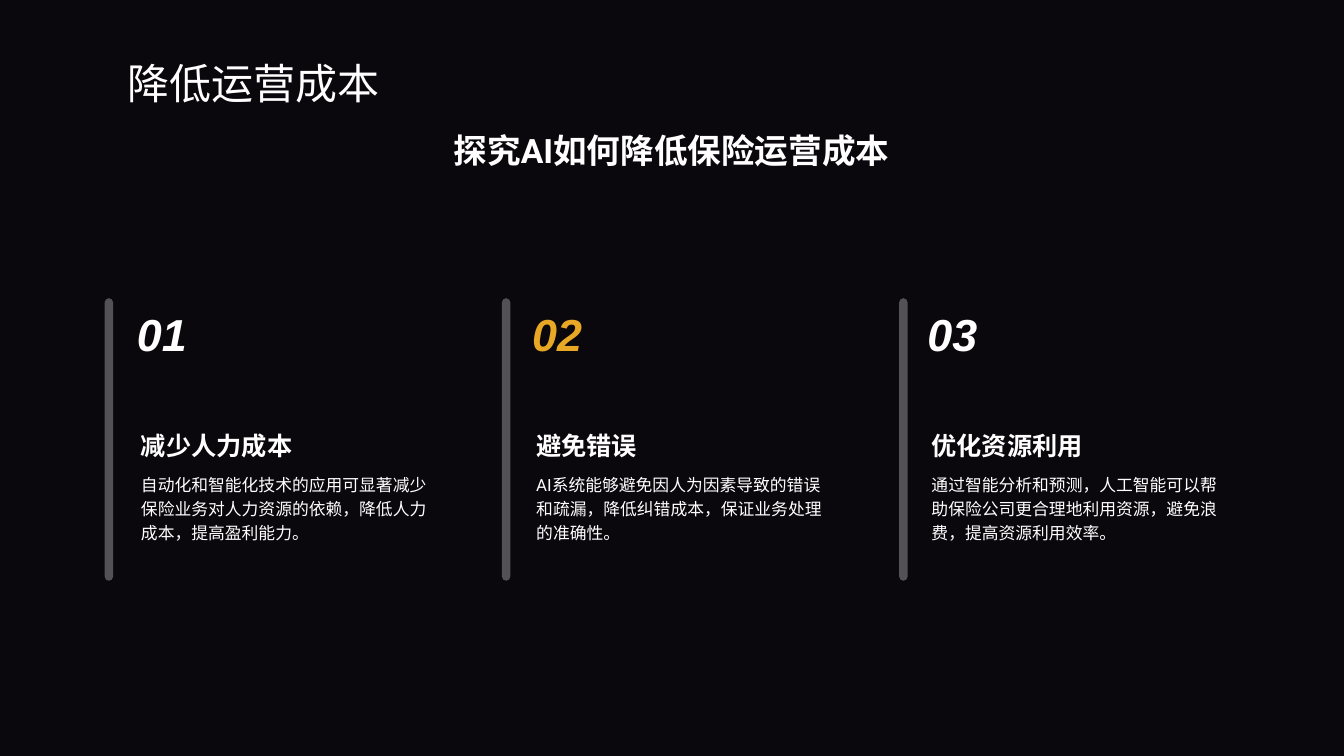
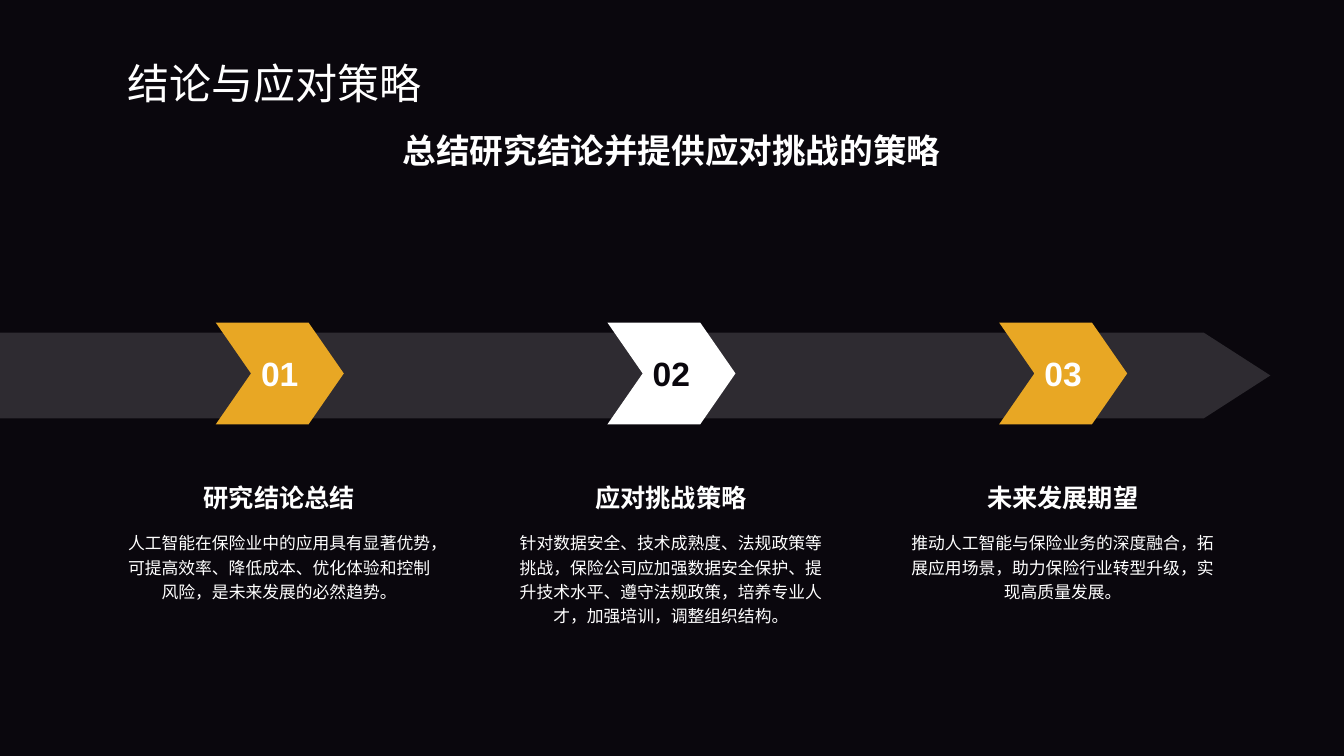
from lxml import etree
from pptx import Presentation
from pptx.dml.color import RGBColor
from pptx.enum.shapes import MSO_CONNECTOR, MSO_SHAPE
from pptx.enum.text import MSO_ANCHOR, MSO_AUTO_SIZE, PP_ALIGN
from pptx.oxml.ns import qn
from pptx.util import Inches, Pt

STRAIGHT = MSO_CONNECTOR.STRAIGHT
ARROW_BAND, CHEVRON = MSO_SHAPE.PENTAGON, MSO_SHAPE.CHEVRON
TOP, MIDDLE, BOTTOM = MSO_ANCHOR.TOP, MSO_ANCHOR.MIDDLE, MSO_ANCHOR.BOTTOM
LEFT, CENTER = PP_ALIGN.LEFT, PP_ALIGN.CENTER
NO_AUTOFIT = MSO_AUTO_SIZE.NONE

# Shared style
NIGHT = RGBColor(0x0A, 0x07, 0x0D)
WHITE = RGBColor(0xFF, 0xFF, 0xFF)
AMBER = RGBColor(0xE8, 0xA7, 0x24)
TITLE_FONT = "Noto Sans CJK JP"
TEXT_FONT = "Roboto"
NUMBER_FONT = "Arial"
TITLE_ONLY = 5

# Content: number colour (slide 1) or chevron and number colours (slide 2)
SAVINGS = [
    (WHITE, "减少人力成本",
     "自动化和智能化技术的应用可显著减少保险业务对人力资源的依赖，降低人力成本，提高盈利能力。"),
    (AMBER, "避免错误",
     "AI系统能够避免因人为因素导致的错误和疏漏，降低纠错成本，保证业务处理的准确性。"),
    (WHITE, "优化资源利用",
     "通过智能分析和预测，人工智能可以帮助保险公司更合理地利用资源，避免浪费，提高资源利用效率。"),
]
STRATEGIES = [
    (AMBER, WHITE, "研究结论总结",
     "人工智能在保险业中的应用具有显著优势，可提高效率、降低成本、优化体验和控制风险，是未来发展的必然趋势。"),
    (WHITE, NIGHT, "应对挑战策略",
     "针对数据安全、技术成熟度、法规政策等挑战，保险公司应加强数据安全保护、提升技术水平、遵守法规政策，"
     "培养专业人才，加强培训，调整组织结构。"),
    (AMBER, WHITE, "未来发展期望",
     "推动人工智能与保险业务的深度融合，拓展应用场景，助力保险行业转型升级，实现高质量发展。"),
]


def evenly(first, last, count=3):
    """Left edges of equally spaced columns."""
    return [first + (last - first) * i / (count - 1) for i in range(count)]


def write(frame, text, size, color=WHITE, font=TEXT_FONT, bold=False,
          italic=False, align=LEFT, anchor=TOP, spacing=1.0, wrap=True):
    frame.word_wrap = wrap
    frame.auto_size = NO_AUTOFIT
    frame.vertical_anchor = anchor
    paragraph = frame.paragraphs[0]
    paragraph.text = text
    paragraph.alignment = align
    paragraph.line_spacing = spacing
    style = paragraph.font
    style.name, style.size, style.bold, style.italic = font, Pt(size), bold, italic
    style.color.rgb = color


def add_text(slide, box, text, size, **style):
    label = slide.shapes.add_textbox(*map(Inches, box))
    write(label.text_frame, text, size, **style)


def set_opacity(shape, percent):
    for color in shape.element.spPr.iter(qn("a:srgbClr")):
        etree.SubElement(color, qn("a:alpha")).set("val", str(percent * 1000))


def add_bar(slide, x, top, bottom):
    bar = slide.shapes.add_connector(
        STRAIGHT, Inches(x), Inches(top), Inches(x), Inches(bottom))
    bar.line.color.rgb = WHITE
    bar.line.width = Pt(6)
    properties = bar.element.spPr
    properties.find(qn("a:ln")).set("cap", "rnd")
    etree.SubElement(properties, qn("a:effectLst"))
    set_opacity(bar, 30)


def add_arrow(slide, kind, box, tip, color):
    """Arrow-like block whose point is tip inches long."""
    arrow = slide.shapes.add_shape(kind, *map(Inches, box))
    arrow.adjustments[0] = tip / box[3]
    arrow.shadow.inherit = False
    arrow.fill.solid()
    arrow.fill.fore_color.rgb = color
    arrow.line.fill.background()
    return arrow


def add_topic_slide(deck, title, subtitle):
    slide = deck.slides.add_slide(deck.slide_layouts[TITLE_ONLY])
    heading = slide.shapes.title
    heading.left, heading.top = Inches(1.16), Inches(0.33)
    heading.width, heading.height = Inches(11.11), Inches(0.79)
    write(heading.text_frame, title, 30, font=TITLE_FONT, anchor=BOTTOM)
    add_text(slide, (0.72, 1.24, 11.88, 0.5), subtitle, 24, bold=True, align=CENTER)
    return slide


def add_savings_slide(deck):
    slide = add_topic_slide(deck, "降低运营成本", "探究AI如何降低保险运营成本")
    columns = zip(evenly(1.08, 8.96), evenly(1.3, 9.14), SAVINGS)
    for number, (bar_x, x, (color, heading, detail)) in enumerate(columns, 1):
        add_bar(slide, bar_x, 3, 5.72)
        add_text(slide, (x - 0.04, 2.99, 0.7, 0.64), f"{number:02}", 32, color=color,
                 font=NUMBER_FONT, bold=True, italic=True, wrap=False)
        add_text(slide, (x, 3.83, 3.11, 0.79), heading, 18, bold=True, anchor=BOTTOM)
        add_text(slide, (x, 4.62, 3.11, 1.86), detail, 12, spacing=1.2)


def add_strategy_slide(deck):
    slide = add_topic_slide(deck, "结论与应对策略", "总结研究结论并提供应对挑战的策略")
    band = add_arrow(slide, ARROW_BAND, (0, 3.3, 12.6, 0.85), 0.66, WHITE)
    set_opacity(band, 15)
    columns = zip(evenly(1.17, 8.94), STRATEGIES)
    for number, (x, (fill, ink, heading, detail)) in enumerate(columns, 1):
        step = add_arrow(slide, CHEVRON, (x + 0.97, 3.2, 1.27, 1.01), 0.35, fill)
        frame = step.text_frame
        frame.margin_left = frame.margin_right = 0
        write(frame, f"{number:02}", 24, color=ink, font=NUMBER_FONT, bold=True,
              align=CENTER, anchor=MIDDLE, wrap=False)
        add_text(slide, (x, 4.44, 3.2, 0.69), heading, 18, bold=True,
                 align=CENTER, anchor=BOTTOM)
        add_text(slide, (x, 5.2, 3.2, 1.51), detail, 12, align=CENTER, spacing=1.2)


def main():
    deck = Presentation()
    deck.slide_width, deck.slide_height = Inches(13.33), Inches(7.5)
    backdrop = deck.slide_master.background.fill
    backdrop.solid()
    backdrop.fore_color.rgb = NIGHT
    add_savings_slide(deck)
    add_strategy_slide(deck)
    deck.save("out.pptx")


if __name__ == "__main__":
    main()
